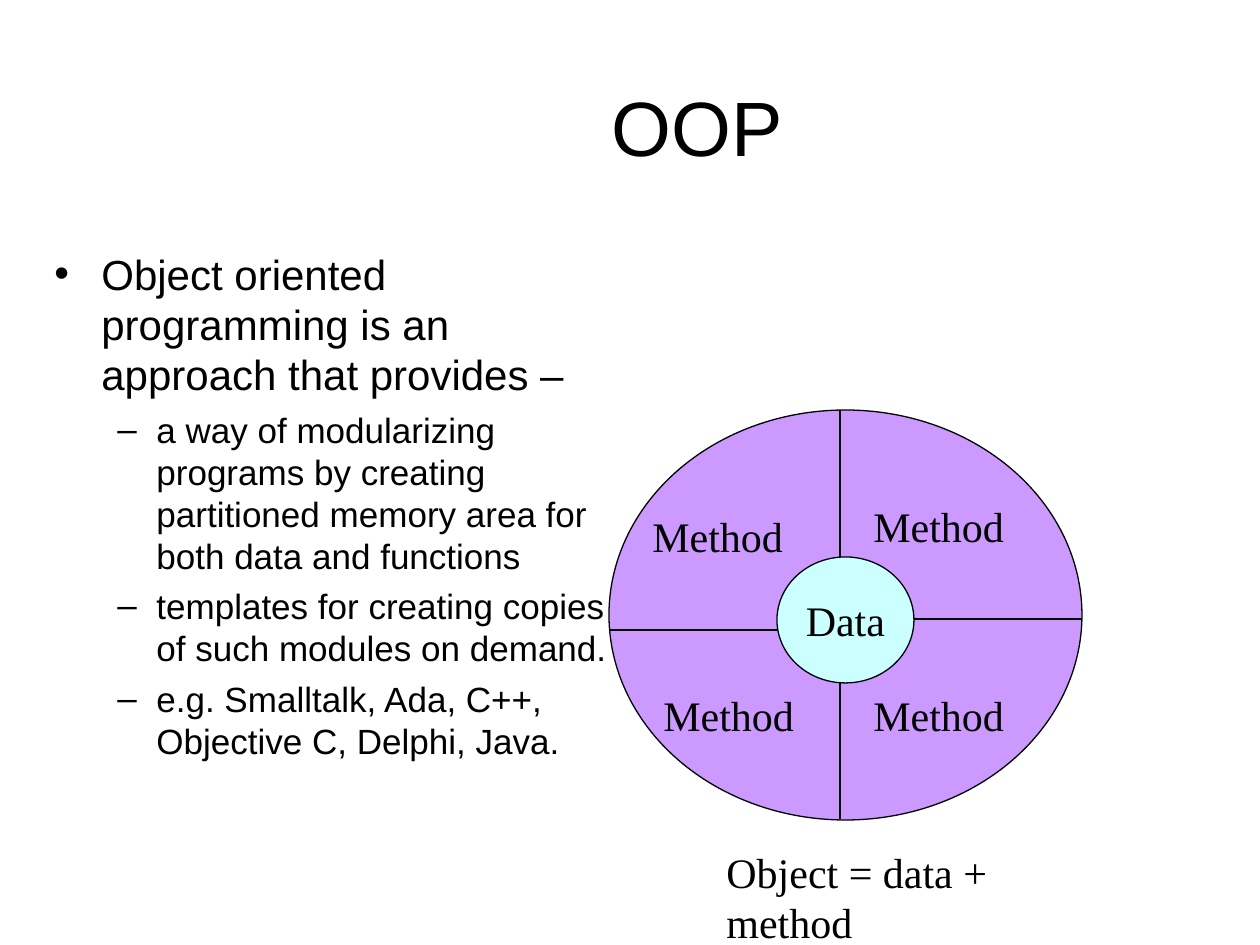
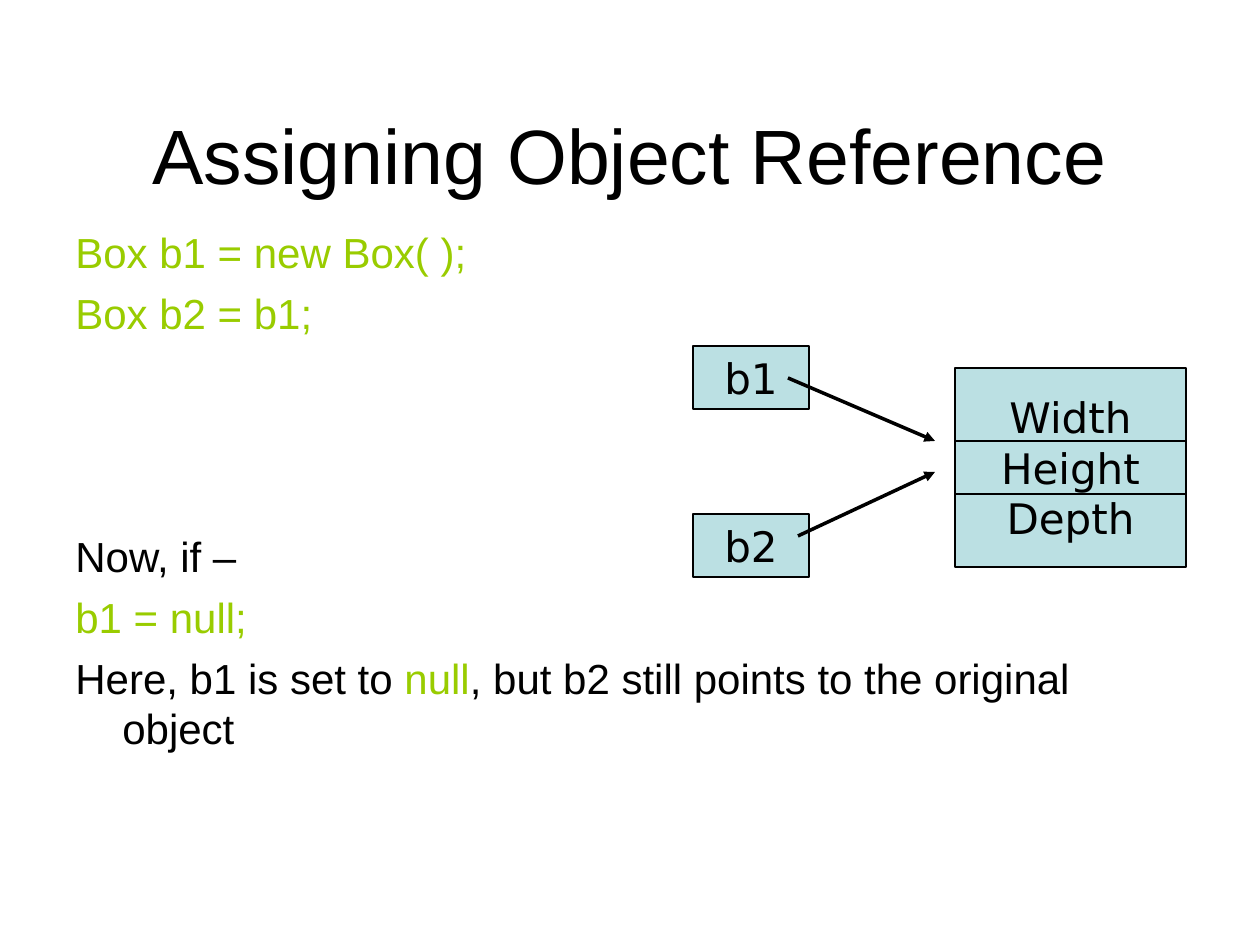
from dataclasses import dataclass

from lxml import etree
from pptx import Presentation
from pptx.dml.color import RGBColor
from pptx.enum.shapes import MSO_CONNECTOR, MSO_SHAPE
from pptx.enum.text import MSO_ANCHOR, PP_ALIGN
from pptx.oxml.ns import qn
from pptx.util import Emu, Pt

PX = 914400 // 126
LEFT, CENTER = PP_ALIGN.LEFT, PP_ALIGN.CENTER
TOP, MIDDLE = MSO_ANCHOR.TOP, MSO_ANCHOR.MIDDLE
OVAL, RECTANGLE = MSO_SHAPE.OVAL, MSO_SHAPE.RECTANGLE
STRAIGHT = MSO_CONNECTOR.STRAIGHT


@dataclass(frozen=True)
class Theme:
    """Colours, fonts and type sizes of the deck."""
    ink: str = "000000"
    code: str = "99CC00"
    method: str = "CC99FF"
    data: str = "CCFFFF"
    memory: str = "BBE0E3"
    sans: str = "Arial"
    serif: str = "Times New Roman"
    diagram: str = "DejaVu Sans"
    title_size: int = 44
    body_size: int = 24
    detail_size: int = 20
    leading: float = 1.2
    outline: float = 0.74
    arrow: float = 2


THEME = Theme()


def px(length):
    """Turn pixels into EMU."""
    return Emu(length * PX)


def rgb(code):
    """Turn a hex code into a colour."""
    return RGBColor.from_string(code)


def write(frame, *runs, size=THEME.body_size, font=THEME.sans, color=THEME.ink,
          align=LEFT, before=0, margin=0, hanging=0, bullet=None):
    """Add one paragraph; a run is a text or a (text, colour) pair."""
    paragraph = frame.paragraphs[0]
    if paragraph.runs:
        paragraph = frame.add_paragraph()
    paragraph.alignment = align
    paragraph.line_spacing = Pt(size * THEME.leading)
    paragraph.space_before = Pt(before)
    for part in runs:
        text, run_color = part if isinstance(part, tuple) else (part, color)
        run = paragraph.add_run()
        run.text = text
        run.font.size = Pt(size)
        run.font.name = font
        run.font.color.rgb = rgb(run_color)
    properties = paragraph._p.get_or_add_pPr()
    properties.set("marL", str(px(margin)))
    properties.set("indent", str(px(-hanging)))
    if bullet:
        etree.SubElement(properties, qn("a:buFont"), typeface=font)
        etree.SubElement(properties, qn("a:buChar"), char=bullet)


class Deck:
    """Holds the theme and the slide being drawn."""

    def __init__(self, theme):
        """Start an empty deck of 10 by 7.5 inches."""
        self.theme = theme
        self.file = Presentation()
        self.file.slide_width, self.file.slide_height = px(1260), px(945)
        self.slide = None

    def new_slide(self, title, *box):
        """Add a blank slide with its title."""
        self.slide = self.file.slides.add_slide(self.file.slide_layouts[6])
        write(self.frame(*box, anchor=MIDDLE), title,
              size=self.theme.title_size, align=CENTER)

    def frame(self, left, top, width, height, anchor=TOP, wrap=True):
        """Add a text box and return its text frame."""
        box = self.slide.shapes.add_textbox(px(left), px(top), px(width), px(height))
        box.text_frame.word_wrap = wrap
        box.text_frame.vertical_anchor = anchor
        return box.text_frame

    def label(self, text, *box, wrap=True):
        """Add a serif label of the object diagram."""
        write(self.frame(*box, wrap=wrap), text, font=self.theme.serif)

    def shape(self, kind, fill, left, top, width, height, lines=(), font=THEME.diagram):
        """Add an outlined shape with centred lines of text."""
        shape = self.slide.shapes.add_shape(kind, px(left), px(top), px(width), px(height))
        shape.shadow.inherit = False
        shape.fill.solid()
        shape.fill.fore_color.rgb = rgb(fill)
        shape.line.color.rgb = rgb(self.theme.ink)
        shape.line.width = Pt(self.theme.outline)
        shape.text_frame.word_wrap = False
        shape.text_frame.vertical_anchor = MIDDLE
        for text in lines:
            write(shape.text_frame, text, font=font, align=CENTER)

    def line(self, x1, y1, x2, y2, arrow=False):
        """Add a straight line, with an arrowhead at its end if asked."""
        line = self.slide.shapes.add_connector(STRAIGHT, px(x1), px(y1), px(x2), px(y2))
        line.line.color.rgb = rgb(self.theme.ink)
        line.line.width = Pt(self.theme.arrow if arrow else self.theme.outline)
        if arrow:
            etree.SubElement(line.line._get_or_add_ln(), qn("a:tailEnd"), type="triangle")
        etree.SubElement(line._element.spPr, qn("a:effectLst"))


def draw_oop(deck):
    """Draw the slide on objects as data wrapped in methods."""
    theme = deck.theme
    deck.new_slide("OOP", 135, 73, 1125, 105)
    body = deck.frame(42, 242, 599, 683)
    write(body, "Object oriented programming is an approach that provides –",
          before=6, margin=47, hanging=47, bullet="•")
    for detail in (
        "a way of modularizing programs by creating partitioned memory area "
        "for both data and functions",
        "templates for creating copies of such modules on demand.",
        "e.g. Smalltalk, Ada, C++, Objective C, Delphi, Java.",
    ):
        write(body, detail, size=theme.detail_size, before=5,
              margin=102, hanging=39, bullet="–")

    deck.shape(OVAL, theme.method, 609, 410, 473, 410)
    deck.shape(OVAL, theme.data, 777, 557, 137, 126, ["Data"], font=theme.serif)
    for divider in ((840, 410, 840, 557), (840, 683, 840, 819),
                    (914, 619, 1082, 619), (777, 630, 609, 630)):
        deck.line(*divider)
    for left, top in ((861, 494), (861, 683), (651, 683), (640, 504)):
        deck.label("Method", left, top, 168, 63)
    deck.label("Object = data + method", 714, 840, 422, 63, wrap=False)


def draw_references(deck):
    """Draw the slide on two references to one object."""
    theme = deck.theme
    deck.new_slide("Assigning Object Reference", 63, 112, 1134, 83)
    body = deck.frame(63, 220, 1134, 624)
    gap = 6
    diagram_gap = gap + 3 * (gap + theme.body_size * theme.leading)
    for runs, color, before in (
        (["Box b1 = new Box( );"], theme.code, gap),
        (["Box b2 = b1;"], theme.code, gap),
        (["Now, if –"], theme.ink, diagram_gap),
        (["b1 = null;"], theme.code, gap),
        (["Here, b1 is set to ", ("null", theme.code),
          ", but b2 still points to the original object"], theme.ink, gap),
    ):
        write(body, *runs, color=color, before=before, margin=47, hanging=47)

    left, width = 955, 231
    deck.shape(RECTANGLE, theme.memory, left, 368, width, 199,
               ["Width", "Height", "Depth"])
    for y in (441, 494):
        deck.line(left, y, left + width, y)
    for name, top in (("b1", 346), ("b2", 514)):
        deck.shape(RECTANGLE, theme.memory, 693, top, 116, 63, [name])
    deck.line(788, 378, 935, 441, arrow=True)
    deck.line(798, 536, 935, 472, arrow=True)


deck = Deck(THEME)
draw_oop(deck)
draw_references(deck)
deck.file.save("out.pptx")
